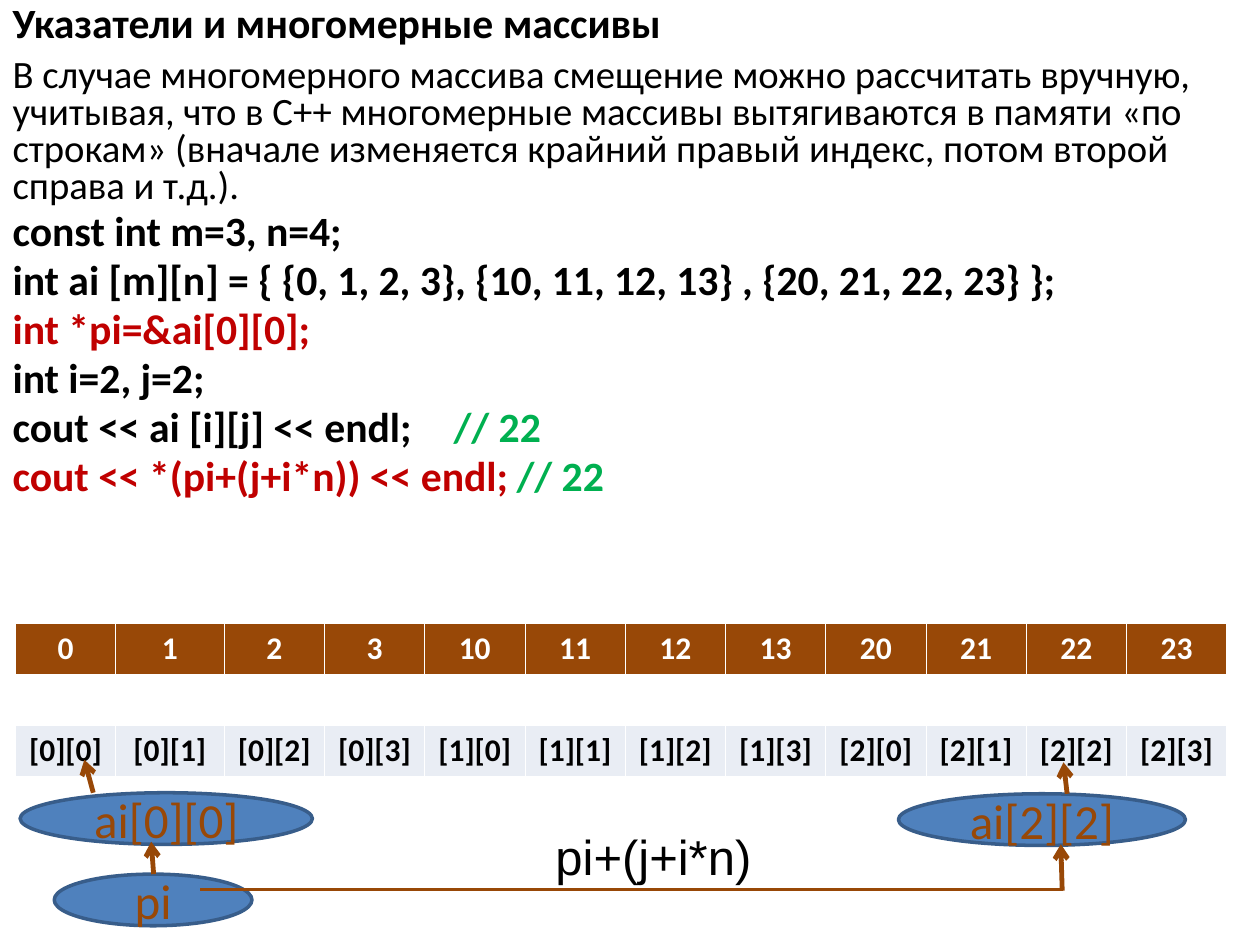
from lxml import etree
from pptx import Presentation
from pptx.dml.color import RGBColor
from pptx.enum import shapes, text
from pptx.oxml import ns
from pptx.util import Pt

BLACK = RGBColor(0x00, 0x00, 0x00)
WHITE = RGBColor(0xFF, 0xFF, 0xFF)
RED = RGBColor(0xC0, 0x00, 0x00)
GREEN = RGBColor(0x00, 0xB0, 0x50)
BROWN = RGBColor(0x98, 0x48, 0x07)
BLUE = RGBColor(0x4F, 0x81, 0xBD)
NAVY = RGBColor(0x38, 0x5D, 0x8A)
PALE = RGBColor(0xE9, 0xED, 0xF4)


def add_run(paragraph, words, size, color, bold=False, name="Calibri"):
    run = paragraph.add_run()
    run.text = words
    run.font.name = name
    run.font.size = Pt(size)
    run.font.bold = bold
    run.font.color.rgb = color


def add_child(parent, tag, **attributes):
    return etree.SubElement(parent, ns.qn(tag), attributes)


presentation = Presentation()
presentation.slide_width = Pt(720)
presentation.slide_height = Pt(540)
slide = presentation.slides.add_slide(presentation.slide_layouts[1])

# Title and body placeholders
title = slide.shapes.title
body = slide.placeholders[1]
for placeholder, top, height in ((title, 0, 30), (body, 30, 269)):
    placeholder.left, placeholder.top = Pt(0), Pt(top)
    placeholder.width, placeholder.height = Pt(720), Pt(height)
    placeholder.text_frame.word_wrap = True
    placeholder.text_frame.auto_size = text.MSO_AUTO_SIZE.NONE
    placeholder.text_frame.vertical_anchor = text.MSO_ANCHOR.TOP

paragraph = title.text_frame.paragraphs[0]
paragraph.alignment = text.PP_ALIGN.LEFT
paragraph.line_spacing = 0.8
add_run(paragraph, "Указатели и многомерные массивы", 23.8, BLACK, True)

# Explanation, then the code with its comments at one tab stop
intro = (
    "В случае многомерного массива смещение можно рассчитать вручную, "
    "учитывая, что в С++ многомерные массивы вытягиваются в памяти «по "
    "строкам» (вначале изменяется крайний правый индекс, потом второй "
    "справа и т.д.)."
)
body_lines = [
    (intro, BLACK, ""),
    ("const int m=3, n=4;", BLACK, ""),
    ("int ai [m][n] = { {0, 1, 2, 3}, {10, 11, 12, 13} , {20, 21, 22, 23} };", BLACK, ""),
    ("int *pi=&ai[0][0];", RED, ""),
    ("int i=2, j=2;", BLACK, ""),
    ("cout << ai [i][j] << endl;", BLACK, "// 22"),
    ("cout << *(pi+(j+i*n)) << endl;", RED, "// 22"),
]
for index, (words, color, comment) in enumerate(body_lines):
    is_code = index > 0
    paragraph = body.text_frame.add_paragraph() if is_code else body.text_frame.paragraphs[0]
    properties = paragraph._p.get_or_add_pPr()
    properties.set("marL", "0")
    properties.set("indent", "0")
    add_child(properties, "a:buNone")
    if comment:
        tabs = add_child(properties, "a:tabLst")
        add_child(tabs, "a:tab", pos=str(Pt(360)), algn="l")
    paragraph.space_before = Pt(0)
    paragraph.line_spacing = 0.98 if is_code else 0.8
    add_run(paragraph, words, 23.8 if is_code else 22.1, color, is_code)
    if comment:
        add_run(paragraph, "\t" + comment, 23.8, GREEN, True)

# Memory table: values above, indices below
ROWS, COLUMNS = 3, 4
values = [str(10 * i + j) for i in range(ROWS) for j in range(COLUMNS)]
indices = [f"[{i}][{j}]" for i in range(ROWS) for j in range(COLUMNS)]
table_rows = [
    (values, 29, BROWN, WHITE),
    ([""] * len(values), 16.5, WHITE, BLACK),
    (indices, 29, PALE, BLACK),
]
table = slide.shapes.add_table(3, 12, Pt(8.8), Pt(356), Pt(692), Pt(74.5)).table
for index, column in enumerate(table.columns):
    column.width = Pt(62 if index == 1 else 57.3)
for row, (labels, height, fill, color) in zip(table.rows, table_rows):
    row.height = Pt(height)
    for cell, label in zip(row.cells, labels):
        properties = cell._tc.get_or_add_tcPr()
        for side in ("a:lnL", "a:lnR", "a:lnT", "a:lnB"):
            border = add_child(properties, side, w=str(Pt(0.45)))
            add_child(add_child(border, "a:solidFill"), "a:srgbClr", val=str(WHITE))
        cell.fill.solid()
        cell.fill.fore_color.rgb = fill
        paragraph = cell.text_frame.paragraphs[0]
        paragraph.alignment = text.PP_ALIGN.CENTER
        if label:
            add_run(paragraph, label, 18, color, True)

# Pointer ellipses
for label, left, top, width in (
    ("ai[0][0]", 11.5, 453, 167),
    ("pi", 31, 499.5, 113),
    ("ai[2][2]", 513.4, 453.6, 164),
):
    ellipse = slide.shapes.add_shape(
        shapes.MSO_SHAPE.OVAL, Pt(left), Pt(top), Pt(width), Pt(29.5))
    ellipse.shadow.inherit = False
    ellipse.fill.solid()
    ellipse.fill.fore_color.rgb = BLUE
    ellipse.line.color.rgb = NAVY
    ellipse.line.width = Pt(2)
    ellipse.text_frame.vertical_anchor = text.MSO_ANCHOR.MIDDLE
    paragraph = ellipse.text_frame.paragraphs[0]
    paragraph.alignment = text.PP_ALIGN.CENTER
    add_run(paragraph, label, 28, BROWN)

# Arrows to the cells, and the offset path from pi to ai[2][2]
for start_x, start_y, end_x, end_y, has_arrow in (
    (53.3, 453, 48.2, 434.2, True),
    (87.8, 499.5, 86.4, 481, True),
    (607.7, 508.3, 114.5, 508.3, False),
    (607, 509, 606.2, 482.4, True),
    (609.8, 453.6, 607.7, 435.6, True),
):
    connector = slide.shapes.add_connector(
        shapes.MSO_CONNECTOR.STRAIGHT, Pt(start_x), Pt(start_y), Pt(end_x), Pt(end_y))
    connector.line.color.rgb = BROWN
    connector.line.width = Pt(2.75 if has_arrow else 2)
    if has_arrow:
        add_child(connector.line._get_or_add_ln(), "a:tailEnd", type="arrow")
    add_child(connector._element.spPr, "a:effectLst")

# Offset label
label_box = slide.shapes.add_textbox(Pt(301.7), Pt(468.7), Pt(143.3), Pt(41))
label_box.text_frame.word_wrap = True
paragraph = label_box.text_frame.paragraphs[0]
paragraph.alignment = text.PP_ALIGN.CENTER
add_run(paragraph, "pi+(j+i*n)", 28, BLACK, name="Arial")

presentation.save("out.pptx")
